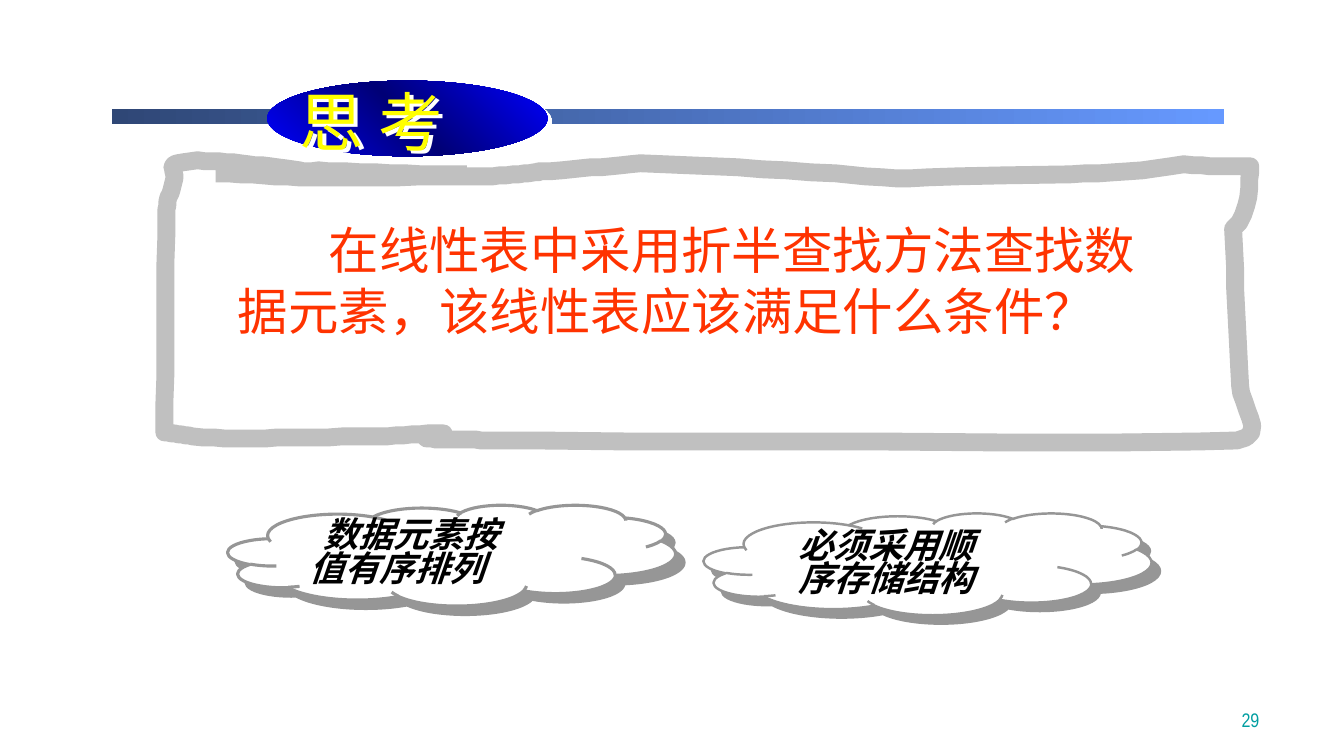
from lxml import etree
from pptx import Presentation
from pptx.dml.color import RGBColor
from pptx.enum.shapes import MSO_SHAPE
from pptx.enum.text import MSO_ANCHOR, MSO_AUTO_SIZE, PP_ALIGN
from pptx.oxml.ns import qn
from pptx.util import Inches, Pt

CLOUD, OVAL, RECT = MSO_SHAPE.CLOUD, MSO_SHAPE.OVAL, MSO_SHAPE.RECTANGLE
TOP, BOTTOM = MSO_ANCHOR.TOP, MSO_ANCHOR.BOTTOM
LEFT, RIGHT = PP_ALIGN.LEFT, PP_ALIGN.RIGHT
FIXED = MSO_AUTO_SIZE.NONE

WHITE = RGBColor(0xFF, 0xFF, 0xFF)
BLACK = RGBColor(0x00, 0x00, 0x00)
YELLOW = RGBColor(0xFF, 0xFF, 0x00)
RED = RGBColor(0xFF, 0x33, 0x00)
TEAL = RGBColor(0x00, 0x9E, 0xA1)
SILVER = RGBColor(0xC0, 0xC0, 0xC0)
GRAY = RGBColor(0x96, 0x96, 0x96)
STEEL = RGBColor(0x2F, 0x47, 0x76)
SKY = RGBColor(0x66, 0x99, 0xFF)
BLUE = RGBColor(0x00, 0x00, 0xFF)
NAVY = RGBColor(0x00, 0x00, 0x76)

HAN, LATIN = "Noto Sans CJK SC", "Arial Narrow"
COLS, ROWS = 1333, 750
CELL = Inches(0.01)
STEPS = 8

START = (214, 172)
CURVES = [
    (246, 173, 275, 175, 308, 176), (366, 175, 425, 176, 483, 175),
    (497, 174, 524, 172, 524, 172), (547, 169, 517, 172, 557, 169),
    (583, 167, 609, 164, 635, 162), (700, 163, 763, 169, 829, 172),
    (926, 181, 849, 175, 1062, 173), (1098, 171, 1140, 170, 1174, 163),
    (1204, 165, 1208, 166, 1240, 165), (1239, 179, 1240, 212, 1223, 227),
    (1225, 279, 1227, 331, 1230, 383), (1229, 401, 1259, 432, 1227, 437),
    (1200, 441, 543, 437, 483, 437), (467, 436, 451, 436, 435, 436),
    (430, 435, 424, 436, 422, 434), (419, 432, 441, 430, 440, 430),
    (418, 430, 398, 432, 376, 433), (343, 433, 309, 434, 275, 434),
    (246, 436, 219, 435, 191, 433), (181, 431, 172, 430, 163, 429),
    (164, 355, 164, 281, 165, 208), (166, 198, 171, 187, 173, 177),
    (174, 172, 167, 164, 176, 162), (192, 157, 213, 161, 231, 161),
    (251, 163, 270, 166, 290, 168), (313, 172, 290, 168, 343, 170),
    (383, 172, 423, 173, 463, 173),
]


def trace(start, curves):
    """Return points along a chain of cubic curves."""
    dots, last = [], start
    for ax, ay, bx, by, cx, cy in curves:
        for step in range(1, STEPS + 1):
            t = step / STEPS
            u = 1 - t
            mix = (u ** 3, 3 * u * u * t, 3 * u * t * t, t ** 3)
            dots.append(tuple(
                sum(m * p for m, p in zip(mix, line))
                for line in ((last[0], ax, bx, cx), (last[1], ay, by, cy))))
        last = (cx, cy)
    return dots


class Deck:
    """Hold the style and the current slide, measured in grid cells."""

    def __init__(self):
        self.file = Presentation()
        self.file.slide_width = COLS * CELL
        self.file.slide_height = ROWS * CELL
        self.slide = self.file.slides.add_slide(self.file.slide_layouts[1])
        self.shapes = self.slide.shapes

    def shape(self, kind, box, fill=None, line=None, width=0):
        """Add a preset shape."""
        item = self.shapes.add_shape(kind, *(n * CELL for n in box))
        item.shadow.inherit = False
        if fill is not None:
            item.fill.solid()
            item.fill.fore_color.rgb = fill
        self.edge(item, line, width)
        return item

    def edge(self, item, color, width):
        """Set or clear an outline."""
        if color is None:
            item.line.fill.background()
        else:
            item.line.color.rgb = color
            item.line.width = Pt(width)

    def blend(self, item, colors, angle):
        """Fill a shape with evenly spaced gradient colours."""
        item.fill.gradient()
        grad = item.element.spPr.find(qn("a:gradFill"))
        stops = grad.find(qn("a:gsLst"))
        for old in list(stops):
            stops.remove(old)
        for i, color in enumerate(colors):
            place = 100000 * i // (len(colors) - 1)
            stop = etree.SubElement(stops, qn("a:gs"), pos=str(place))
            etree.SubElement(stop, qn("a:srgbClr"), val=str(color))
        grad.find(qn("a:lin")).set("ang", str(angle * 60000))

    def shade(self, item, color, gap, angle):
        """Cast a hard shadow."""
        item.shadow.inherit = False
        list_ = item.element.spPr.find(qn("a:effectLst"))
        cast = etree.SubElement(list_, qn("a:outerShdw"), dist=str(Pt(gap)),
                                dir=str(angle * 60000), algn="ctr", rotWithShape="0")
        etree.SubElement(cast, qn("a:srgbClr"), val=str(color))

    def frame(self, start, curves, color, width):
        """Draw a hand-made outline."""
        pen = self.shapes.build_freeform(*start, scale=CELL)
        pen.add_line_segments(trace(start, curves), close=False)
        item = pen.convert_to_shape()
        item.shadow.inherit = False
        item.fill.background()
        self.edge(item, color, width)

    def cloud(self, box, width):
        """Add a white cloud with a grey shadow."""
        self.shade(self.shape(CLOUD, box, WHITE, GRAY, width), GRAY, 8.5, 45)

    def text(self, box, lines, size, color, item=None, font=HAN, bold=False,
             pitch=None, indent=0, align=LEFT, anchor=TOP):
        """Write lines into a placeholder or a new text box."""
        item = item or self.shapes.add_textbox(0, 0, CELL, CELL)
        item.left, item.top, item.width, item.height = (n * CELL for n in box)
        frame = item.text_frame
        frame.word_wrap, frame.auto_size = True, FIXED
        frame.vertical_anchor = anchor
        for i, words in enumerate(lines):
            para = frame.add_paragraph() if i else frame.paragraphs[0]
            props = para._p.get_or_add_pPr()
            props.set("marL", "0")
            props.set("indent", str(0 if i else indent * CELL))
            etree.SubElement(props, qn("a:buNone"))
            para.alignment, para.space_before = align, Pt(0)
            if pitch:
                para.line_spacing = Pt(pitch)
            run = para.add_run()
            run.text = words
            face = run.font
            face.name, face.size = font, Pt(size)
            face.bold = face.italic = bold
            face.color.rgb = color
            mark = run._r.get_or_add_rPr()
            mark.set("lang", "zh-CN")
            etree.SubElement(mark, qn("a:ea"), typeface=font)
        return item


def main():
    """Build the question slide."""
    deck = Deck()
    title, body = deck.slide.placeholders
    deck.blend(deck.shape(RECT, (111, 108, 1103, 15)), (STEEL, SKY), 0)
    deck.frame(START, CURVES, SILVER, 12.75)
    deck.text((226, 212, 953, 131),
              ["在线性表中采用折半查找方法查找数据元素，该线性表应该满足什么条件？"],
              36, RED, body, pitch=43.6, indent=90)
    deck.cloud((226, 501, 444, 100), 2.25)
    deck.text((297, 512, 367, 77), ["数据元素按", "值有序排列"], 25, BLACK,
              bold=True, pitch=24.2, indent=14)
    deck.cloud((698, 509, 444, 101), 1.75)
    deck.text((782, 522, 327, 77), ["必须采用顺", "序存储结构"], 25, BLACK,
              bold=True, pitch=24.2)
    oval = deck.shape(OVAL, (265, 80, 278, 75))
    deck.blend(oval, (BLUE, NAVY, BLUE), 315)
    deck.shade(oval, WHITE, 3.6, 34)
    deck.text((287, 76, 296, 87), ["思 考"], 46, YELLOW, title, pitch=55.5)
    deck.shade(title, WHITE, 3.6, 34)
    oval.element.addnext(title.element)
    deck.text((981, 681, 278, 50), ["29"], 14, TEAL, font=LATIN,
              align=RIGHT, anchor=BOTTOM)
    deck.file.save("out.pptx")


if __name__ == "__main__":
    main()
